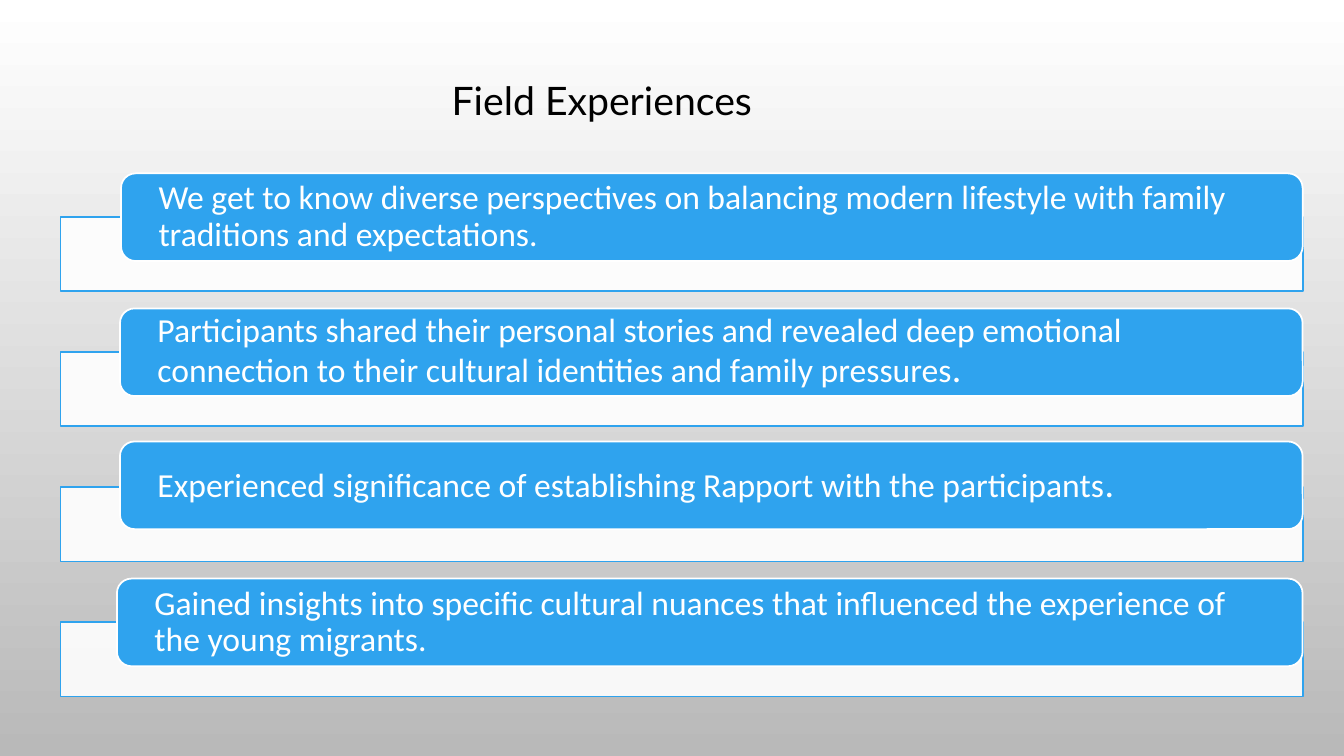
from pptx import Presentation
from pptx.dml.color import RGBColor
from pptx.enum.shapes import MSO_SHAPE as Shape
from pptx.enum.text import MSO_ANCHOR as Anchor, PP_ALIGN as Align
from pptx.oxml.ns import qn
from pptx.util import Inches, Pt
from lxml.etree import SubElement

# Content: text, size of the final full stop, left and top shift of the card
TITLE = "Field Experiences"
CARDS = [
    ("We get to know diverse perspectives on balancing modern lifestyle with "
     "family traditions and expectations", 24, 0.01, 0),
    ("Participants shared their personal stories and revealed deep emotional "
     "connection to their cultural identities and family pressures", 27, 0, 0),
    ("Experienced significance of establishing Rapport with the participants",
     27, 0, -0.02),
    ("Gained insights into specific cultural nuances that influenced the "
     "experience of the young migrants", 24, -0.03, 0),
]

# Colours
WHITE = RGBColor(0xFF, 0xFF, 0xFF)
BLACK = RGBColor(0x00, 0x00, 0x00)
GREY = RGBColor(0xB9, 0xB9, 0xB9)
BLUE = RGBColor(0x2F, 0xA3, 0xEE)

# Grid in inches
FRAME_LEFT, FRAME_TOP, FRAME_WIDTH, FRAME_HEIGHT = 0.6, 2.15, 12.32, 0.74
ROW_STEP = 1.34
CARD_LEFT, CARD_RISE, CARD_HEIGHT = 1.19, 0.43, 0.87
RIGHT_EDGE = FRAME_LEFT + FRAME_WIDTH


def add_box(page, preset, left, top, width, height, fill, line):
    box = page.shapes.add_shape(preset, Inches(left), Inches(top),
                                Inches(width), Inches(height))
    box.shadow.inherit = False
    box.fill.solid()
    box.fill.fore_color.rgb = fill
    box.line.color.rgb = line
    box.line.width = Pt(1.25)
    return box


def style_span(span, name, size, color):
    span.font.name = name
    span.font.size = Pt(size)
    span.font.color.rgb = color


def write_card(card, text, stop_size):
    frame = card.text_frame
    frame.word_wrap = True
    frame.vertical_anchor = Anchor.MIDDLE
    frame.margin_left = frame.margin_right = Inches(0.33)
    frame.margin_top = frame.margin_bottom = 0
    para = frame.paragraphs[0]
    para.alignment = Align.LEFT
    para.line_spacing = 0.9
    pieces = [(text + ".", 24)] if stop_size == 24 else [(text, 24), (".", stop_size)]
    for piece, size in pieces:
        span = para.add_run()
        span.text = piece
        style_span(span, "Calibri", size, WHITE)


def main():
    deck = Presentation()
    deck.slide_width, deck.slide_height = Inches(13.33), Inches(7.5)
    page = deck.slides.add_slide(deck.slide_layouts[5])

    # Background fading downwards
    backdrop = page.background.fill
    backdrop.gradient()
    backdrop.gradient_angle = 270
    for stop, color in zip(backdrop.gradient_stops, (WHITE, GREY)):
        stop.color.rgb = color

    # Title
    title = page.shapes.title
    title.left, title.top = Inches(4.38), Inches(0.71)
    title.width, title.height = Inches(5.54), Inches(0.57)
    title.text_frame.text = TITLE
    title.text_frame.vertical_anchor = Anchor.TOP
    para = title.text_frame.paragraphs[0]
    para.alignment = Align.LEFT
    style_span(para.runs[0], "Lato", 28, BLACK)

    # Each row: an outlined frame with a rounded card over it
    for row, (text, stop_size, shift_x, shift_y) in enumerate(CARDS):
        top = FRAME_TOP + row * ROW_STEP
        frame = add_box(page, Shape.RECTANGLE, FRAME_LEFT, top,
                        FRAME_WIDTH, FRAME_HEIGHT, WHITE, BLUE)
        tint = frame.fill._xPr.find(qn("a:solidFill"))[0]
        SubElement(tint, qn("a:alpha")).set("val", "90000")

        left = CARD_LEFT + shift_x
        card = add_box(page, Shape.ROUNDED_RECTANGLE, left,
                       top - CARD_RISE + shift_y, RIGHT_EDGE - left,
                       CARD_HEIGHT, BLUE, WHITE)
        write_card(card, text, stop_size)

    deck.save("out.pptx")


if __name__ == "__main__":
    main()
